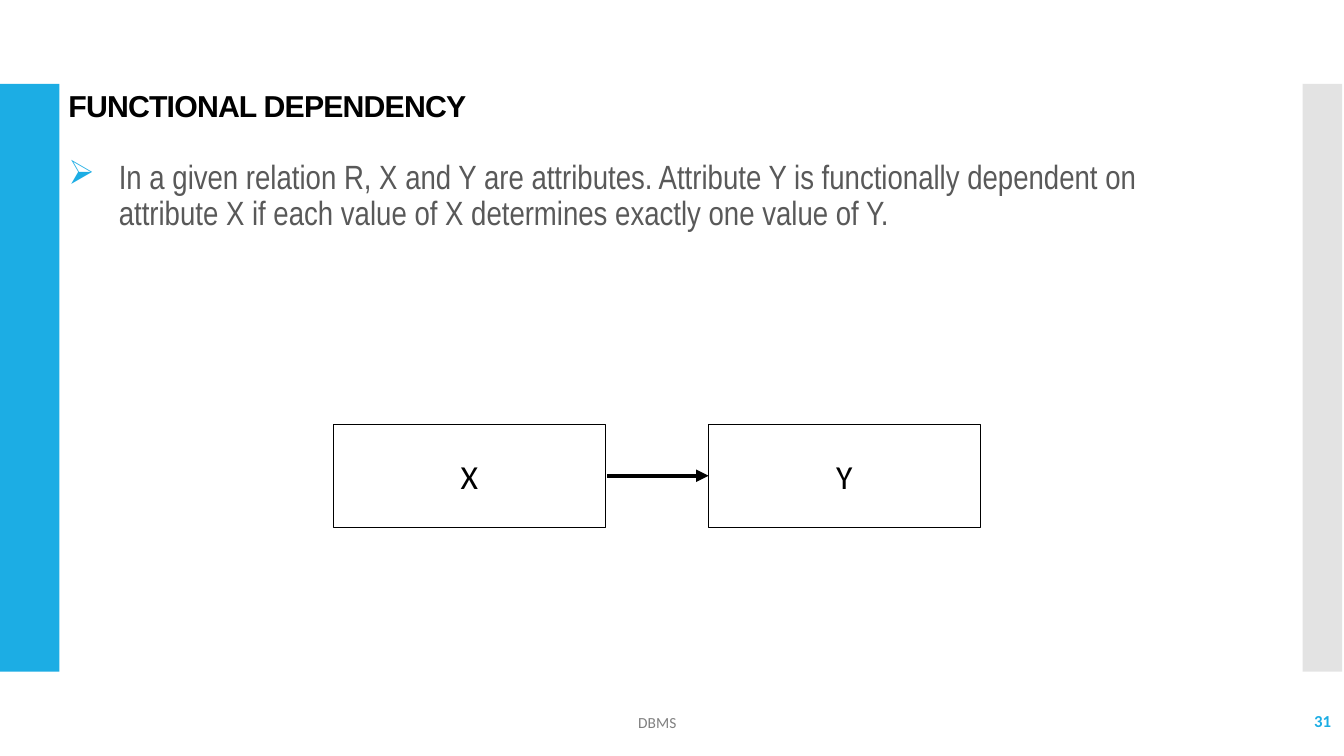
from dataclasses import dataclass

import lxml.etree
import pptx
import pptx.dml.color
import pptx.enum.shapes
import pptx.enum.text
import pptx.oxml.ns
import pptx.util

ALIGN = pptx.enum.text.PP_ALIGN
ANCHOR = pptx.enum.text.MSO_ANCHOR
WIDTH = pptx.util.Inches(13.33)
HEIGHT = pptx.util.Inches(7.5)


@dataclass(frozen=True)
class Theme:
    """Colours, fonts and sizes of the slide."""
    accent: str = "1CADE4"
    side_grey: str = "C8C8C8"
    body_grey: str = "595959"
    footer_grey: str = "808080"
    black: str = "000000"
    title_font: str = "Arial"
    body_font: str = "Arial Narrow"
    label_font: str = "Calibri"
    title_size: float = 21.6
    body_size: float = 24
    number_size: float = 12
    footer_size: float = 11
    outline: float = 0.85
    arrow: float = 3


THEME = Theme()


def rgb(colour):
    """Turn a hex string into a colour."""
    return pptx.dml.color.RGBColor.from_string(colour)


def place(left, top, width, height):
    """Turn percentages of the slide into lengths."""
    return (int(WIDTH * left / 100), int(HEIGHT * top / 100),
            int(WIDTH * width / 100), int(HEIGHT * height / 100))


def add_child(parent, tag, **attributes):
    """Append a drawing element to a parent."""
    return lxml.etree.SubElement(parent, pptx.oxml.ns.qn(tag), attributes)


def style_text(frame, text, font, size, colour, align=ALIGN.LEFT,
               anchor=ANCHOR.TOP, bold=False):
    """Write one styled paragraph into a text frame."""
    frame.word_wrap = True
    frame.vertical_anchor = anchor
    paragraph = frame.paragraphs[0]
    paragraph.text = text
    paragraph.alignment = align
    paragraph.font.name = font
    paragraph.font.size = pptx.util.Pt(size)
    paragraph.font.bold = bold
    paragraph.font.color.rgb = rgb(colour)
    return paragraph


def add_rectangle(slide, box):
    """Add a rectangle without a shadow."""
    rectangle = slide.shapes.add_shape(
        pptx.enum.shapes.MSO_SHAPE.RECTANGLE, *place(*box))
    rectangle.shadow.inherit = False
    return rectangle


def add_side_bar(slide, box, colour, alpha=None):
    """Add a coloured bar at the edge of the slide."""
    bar = add_rectangle(slide, box)
    bar.fill.solid()
    bar.fill.fore_color.rgb = rgb(colour)
    bar.line.fill.background()
    if alpha:
        fill_colour = bar._element.spPr.find(".//" + pptx.oxml.ns.qn("a:srgbClr"))
        add_child(fill_colour, "a:alpha", val=str(alpha * 1000))


def add_title(slide, box, text):
    """Add the slide heading."""
    frame = slide.shapes.add_textbox(*place(*box)).text_frame
    heading = style_text(frame, text, THEME.title_font, THEME.title_size,
                         THEME.black, bold=True)
    heading.line_spacing = 0.9
    heading.runs[0]._r.get_or_add_rPr().set("spc", "-60")


def add_definition(slide, box, text):
    """Add the bulleted definition."""
    frame = slide.shapes.add_textbox(*place(*box)).text_frame
    indent = pptx.util.Inches(0.5)
    properties = frame.paragraphs[0]._p.get_or_add_pPr()
    properties.set("marL", str(indent))
    properties.set("indent", str(-indent))
    bullet_colour = add_child(properties, "a:buClr")
    add_child(bullet_colour, "a:srgbClr", val=THEME.accent)
    add_child(properties, "a:buChar", char="➢")
    definition = style_text(frame, text, THEME.body_font, THEME.body_size,
                            THEME.body_grey)
    definition.line_spacing = 0.9


def add_attribute(slide, box, label):
    """Add an outlined box that names an attribute."""
    attribute = add_rectangle(slide, box)
    attribute.fill.background()
    attribute.line.color.rgb = rgb(THEME.black)
    attribute.line.width = pptx.util.Pt(THEME.outline)
    style_text(attribute.text_frame, label, THEME.label_font, THEME.body_size,
               THEME.black, ALIGN.CENTER, ANCHOR.MIDDLE)
    return attribute


def add_dependency(slide, box, determinant, dependent):
    """Draw two attributes and the arrow between them."""
    left, top, width, height = box
    attribute_width = 0.42 * width
    source, target = [
        add_attribute(slide, (x, top, attribute_width, height), label)
        for x, label in ((left, determinant),
                         (left + width - attribute_width, dependent))]
    middle = target.top + target.height // 2
    start = source.left + source.width + int(0.0015 * WIDTH)
    arrow = slide.shapes.add_connector(
        pptx.enum.shapes.MSO_CONNECTOR.STRAIGHT, start, middle, target.left, middle)
    arrow.end_connect(target, 1)
    arrow.line.color.rgb = rgb(THEME.black)
    arrow.line.width = pptx.util.Pt(THEME.arrow)
    add_child(arrow.line._get_or_add_ln(), "a:tailEnd", type="triangle")
    add_child(arrow._element.spPr, "a:effectLst")


def add_footer(slide, box, text, size, colour, align, bold=False):
    """Add one text at the foot of the slide."""
    frame = slide.shapes.add_textbox(*place(*box)).text_frame
    style_text(frame, text, THEME.label_font, size, colour, align,
               ANCHOR.MIDDLE, bold)


def main():
    """Build and save the presentation."""
    deck = pptx.Presentation()
    deck.slide_width, deck.slide_height = WIDTH, HEIGHT
    slide = deck.slides.add_slide(deck.slide_layouts[6])
    add_side_bar(slide, (0, 11.1, 4.43, 77.75), THEME.accent)
    add_side_bar(slide, (96.92, 11.1, 2.95, 77.75), THEME.side_grey, alpha=50)
    add_definition(
        slide, (4.35, 20.53, 87.17, 71.47),
        "In a given relation R, X and Y are attributes. Attribute Y is "
        "functionally dependent on attribute X if each value of X determines "
        "exactly one value of Y.")
    add_title(slide, (4.35, 11.47, 78.3, 5.33), "FUNCTIONAL DEPENDENCY")
    add_footer(slide, (87.25, 92.67, 12.53, 5.33), "31", THEME.number_size,
               THEME.accent, ALIGN.RIGHT, bold=True)
    add_dependency(slide, (24.83, 56.13, 48.1, 13.6), "X", "Y")
    add_footer(slide, (24.68, 92.93, 48.46, 5.33), "DBMS", THEME.footer_size,
               THEME.footer_grey, ALIGN.CENTER)
    deck.save("out.pptx")


if __name__ == "__main__":
    main()
